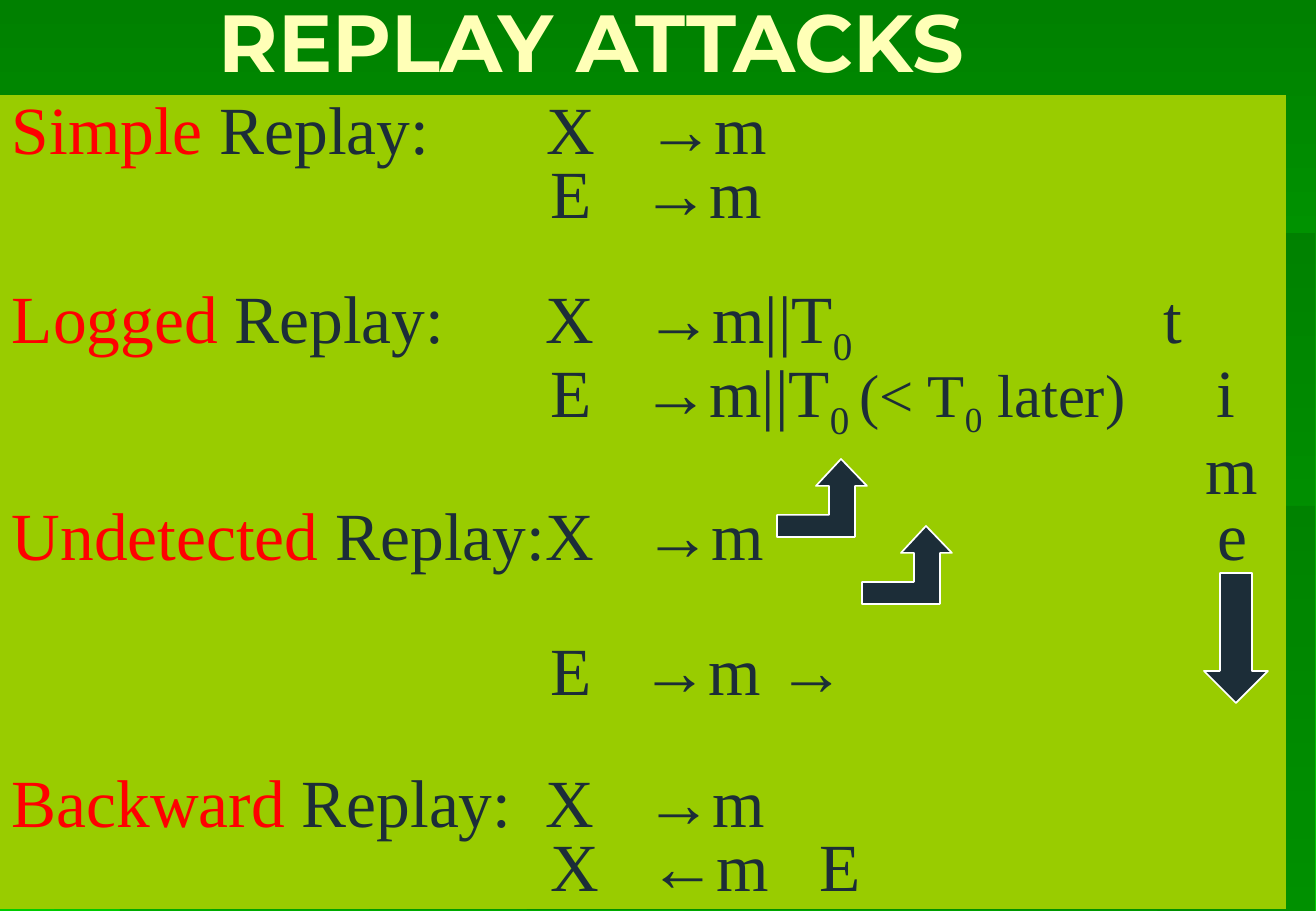
import pptx
import pptx.util
import pptx.dml.color
import pptx.enum.shapes
import pptx.enum.text
import pptx.oxml

RGB = pptx.dml.color.RGBColor
DEEP = RGB(0x00, 0x80, 0x00)
BRIGHT = RGB(0x00, 0xCC, 0x00)
SHADE = RGB(0x00, 0x66, 0x00)
EDGE = RGB(0x1E, 0x78, 0x1E)
LIME = RGB(0x99, 0xCC, 0x00)
CREAM = RGB(0xFF, 0xFF, 0xB7)
RED = RGB(0xFF, 0x00, 0x00)
INK = RGB(0x1C, 0x2D, 0x38)
WHITE = RGB(0xFF, 0xFF, 0xFF)

SCALE = 7532  # EMU in one px
SERIF = "Times New Roman"
NS = 'xmlns:a="http://schemas.openxmlformats.org/drawingml/2006/main"'


def px(n):
    return pptx.util.Emu(n * SCALE)


def fade(fill, share):
    """Set the opacity, in percent, of the last colour in a fill."""
    color = fill._xPr.findall(".//" + pptx.oxml.ns.qn("a:srgbClr"))[-1]
    color.append(pptx.oxml.parse_xml(f'<a:alpha {NS} val="{share * 1000}"/>'))


def blend(fill, top, base):
    """Fill with a gradient that runs from top to base."""
    fill.gradient()
    fill.gradient_angle = 270
    for stop, color in zip(fill.gradient_stops, (top, base)):
        stop.color.rgb = color


class Deck:
    def __init__(self):
        self.prs = pptx.Presentation()
        self.prs.slide_width, self.prs.slide_height = px(1316), px(911)
        self.slide = self.prs.slides.add_slide(self.prs.slide_layouts[6])
        self.shapes = self.slide.shapes
        blend(self.slide.background.fill, DEEP, BRIGHT)

    def paint(self, shape, color, line=None):
        shape.shadow.inherit = False
        shape.fill.solid()
        shape.fill.fore_color.rgb = color
        if line is None:
            shape.line.fill.background()
        else:
            shape.line.color.rgb = line
            shape.line.width = pptx.util.Pt(1)
        return shape

    def outline(self, points, color, line=None):
        pen = self.shapes.build_freeform(*points[0], scale=SCALE)
        pen.add_line_segments(points[1:], close=True)
        return self.paint(pen.convert_to_shape(), color, line)

    def veil(self, points, share):
        fade(self.outline(points, SHADE).fill, share)

    def strip(self, points):
        shape = self.outline(points, SHADE)
        blend(shape.fill, EDGE, SHADE)
        fade(shape.fill, 0)

    def preset(self, kind, box, color, line=None):
        shape = self.shapes.add_shape(kind, *map(px, box))
        return self.paint(shape, color, line)

    def frame(self, shape, left, top):
        text = shape.text_frame
        text.word_wrap = True
        text.vertical_anchor = pptx.enum.text.MSO_ANCHOR.TOP
        text.margin_left, text.margin_top = px(left), px(top)
        text.margin_right, text.margin_bottom = px(12), px(6)
        return text

    def line(self, para, pitch, gap=0, tabs=()):
        """Set line pitch in points, and the gap above and tabs in px."""
        para.alignment = pptx.enum.text.PP_ALIGN.LEFT
        para.line_spacing = pptx.util.Pt(pitch)
        if gap:
            para.space_before = px(gap)
        if tabs:
            stops = "".join(f'<a:tab pos="{px(t)}" algn="l"/>' for t in tabs)
            para._p.get_or_add_pPr().append(
                pptx.oxml.parse_xml(f"<a:tabLst {NS}>{stops}</a:tabLst>"))

    def run(self, para, text, color=INK, size=40, face=SERIF, bold=False, sub=False):
        run = para.add_run()
        run.text = text
        font = run.font
        font.size, font.name, font.bold = pptx.util.Pt(size), face, bold
        font.color.rgb = color
        if sub:
            font._element.set("baseline", "-25000")

    def title(self, text, box):
        frame = self.frame(self.shapes.add_textbox(*map(px, box)), 193, 9)
        para = frame.paragraphs[0]
        self.line(para, 47.3)
        self.run(para, text, CREAM, 48, "Montserrat", True)

    def panel(self, rows, box):
        shape = self.preset(pptx.enum.shapes.MSO_SHAPE.RECTANGLE, box, LIME)
        frame = self.frame(shape, 12, 9)
        for i, (gap, tabs, runs) in enumerate(rows):
            para = frame.add_paragraph() if i else frame.paragraphs[0]
            self.line(para, 38, gap, tabs)
            for text, style in runs:
                self.run(para, text, **style)


PLAIN = {}
HEAD = {"color": RED}
SUB = {"sub": True}
SMALL = {"size": 36}
TO = ("→", {"face": "Arial"})
FROM = ("←", {"face": "Arial"})
M = ("m", PLAIN)
LOG = [TO, ("m||T", PLAIN), ("0", SUB)]

# Each row: gap above, tab stops, runs
ROWS = [
    (0, (535, 635), [("Simple ", HEAD), ("Replay:\tX\t", PLAIN), TO, M]),
    (0, (539, 630), [("\tE\t", PLAIN), TO, M]),
    (72, (534, 633, 1152),
     [("Logged", HEAD), (" Replay:\tX\t", PLAIN), *LOG, ("\tt", PLAIN)]),
    (10, (539, 630, 1205),
     [("\tE\t", PLAIN), *LOG, (" ", SUB), ("(< T", SMALL),
      ("0", {"size": 36, "sub": True}), (" later)", SMALL), ("\ti", PLAIN)]),
    (2, (1194,), [("\tm", PLAIN)]),
    (1, (632, 1206),
     [("Undetected", HEAD), (" Replay:X\t", PLAIN), TO, ("m\te", PLAIN)]),
    (71, (539, 629), [("\tE\t", PLAIN), TO, ("m ", PLAIN), TO]),
    (68, (534, 633), [("Backward", HEAD), (" Replay:\tX\t", PLAIN), TO, M]),
    (0, (539, 637, 808), [("\tX\t", PLAIN), FROM, ("m\tE", PLAIN)]),
]

BEND = [(777, 515), (829, 515), (829, 486), (816, 486), (841, 459),
        (867, 486), (855, 486), (855, 537), (777, 537)]


def main():
    deck = Deck()
    deck.veil([(125, 233), (124, 505), (49, 505), (50, 909), (1315, 911), (1315, 233)], 40)
    deck.veil([(120, 506), (120, 911), (1315, 911), (1315, 506)], 30)
    deck.strip([(46, 501), (46, 911), (52, 911), (53, 509)])
    deck.strip([(120, 233), (120, 911), (127, 911), (126, 242)])
    deck.title("REPLAY ATTACKS", (26, 0, 1289, 102))
    deck.panel(ROWS, (0, 95, 1286, 814))
    for right, down in ((0, 0), (85, 67)):
        deck.outline([(x + right, y + down) for x, y in BEND], INK, WHITE)
    deck.preset(pptx.enum.shapes.MSO_SHAPE.DOWN_ARROW, (1204, 573, 64, 130), INK, WHITE)
    deck.prs.save("out.pptx")


if __name__ == "__main__":
    main()
